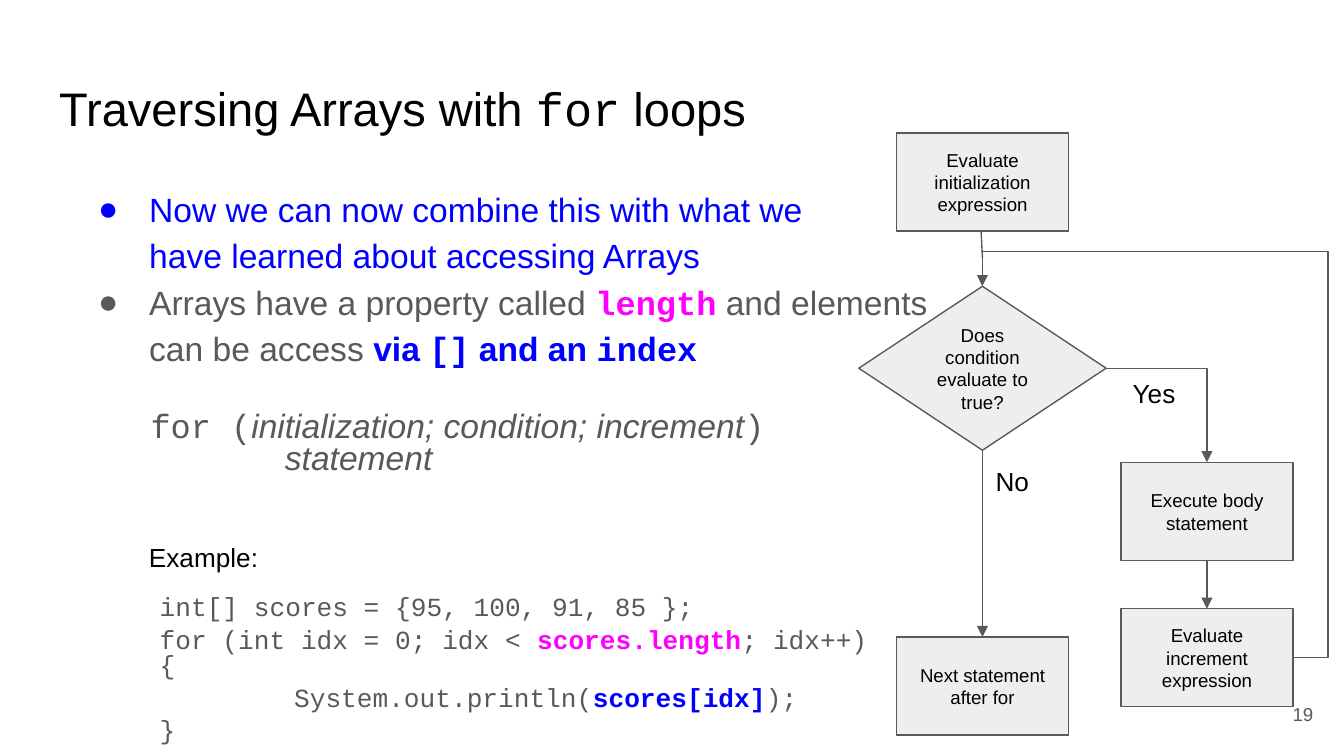
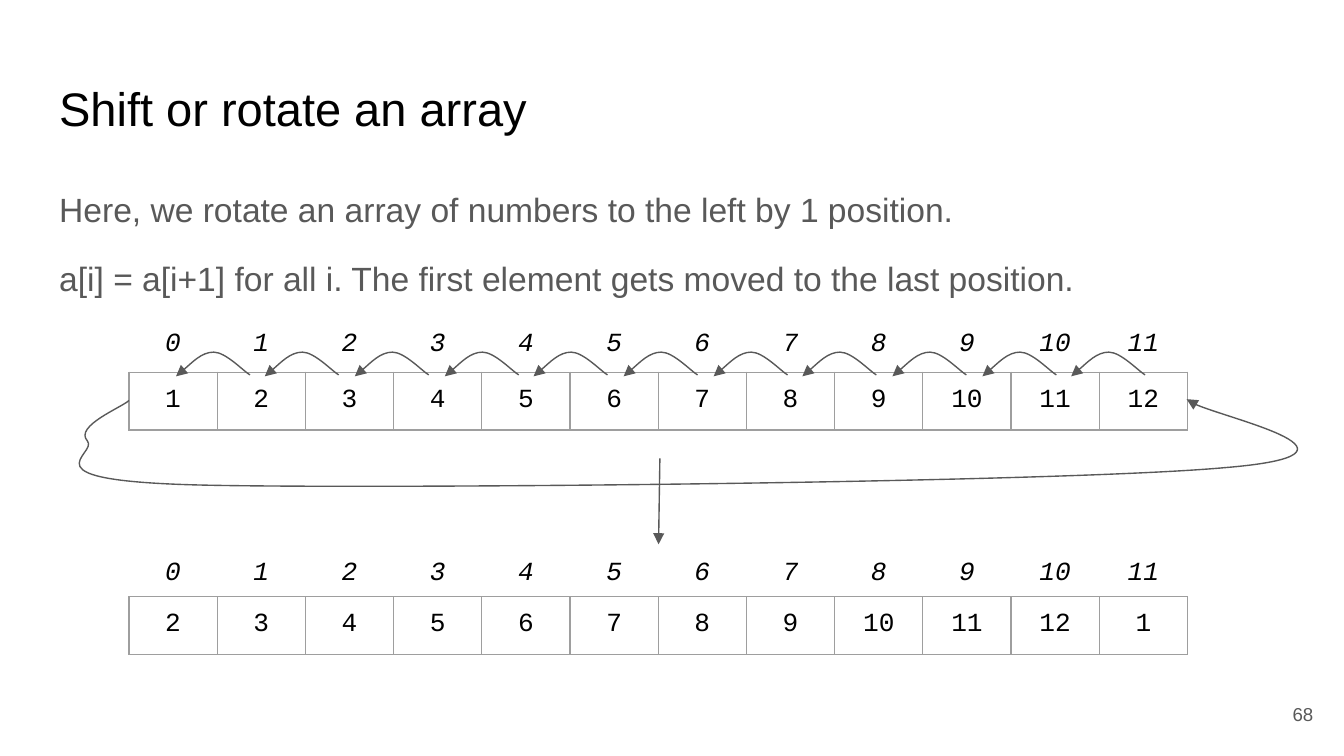
from lxml import etree
from pptx import Presentation
from pptx.dml.color import RGBColor
from pptx.enum.shapes import MSO_CONNECTOR, MSO_SHAPE
from pptx.enum.text import MSO_ANCHOR, MSO_AUTO_SIZE, PP_ALIGN
from pptx.oxml.ns import qn
from pptx.util import Pt

PX = 9144
LEFT, CENTER, RIGHT = PP_ALIGN.LEFT, PP_ALIGN.CENTER, PP_ALIGN.RIGHT
TOP, MIDDLE = MSO_ANCHOR.TOP, MSO_ANCHOR.MIDDLE
FIXED, GROW = MSO_AUTO_SIZE.NONE, MSO_AUTO_SIZE.SHAPE_TO_FIT_TEXT
STRAIGHT, ELBOW = MSO_CONNECTOR.STRAIGHT, MSO_CONNECTOR.ELBOW
RECT, CHOICE = MSO_SHAPE.RECTANGLE, MSO_SHAPE.FLOWCHART_DECISION
UP, DOWN, SIDE = 0, 2, 3

BLACK, GRAY, PALE, EDGE = "000000", "595959", "EEEEEE", "9E9E9E"
BLUE, PINK = "0000FF", "FF00FF"
SANS, MONO = "Arial", "Courier New"
NO_STYLE = "{2D5ABB26-0587-4C30-8999-92F81FD0307C}"

PAD = {f"margin_{side}": 10 * PX for side in ("left", "top", "right", "bottom")}
FRAME = PAD | {"word_wrap": True, "auto_size": FIXED, "vertical_anchor": TOP}
PARA = {"alignment": LEFT, "line_spacing": 1.0, "space_before": Pt(0), "space_after": Pt(0)}
BASE = {"name": SANS, "size": Pt(14), "bold": False, "italic": False, "hue": BLACK}
TITLE = {"size": Pt(25.2)}
BODY = {"size": Pt(18), "hue": GRAY}
CODE = {"name": MONO, "hue": GRAY}
SMALL = {"size": Pt(10)}
FIXW = {"name": MONO}
SLANT = {"name": SANS, "italic": True}
KEY = {"bold": True, "hue": BLUE}
PROP = {"bold": True, "hue": PINK}


def px(count):
    """Turn px into EMU."""
    return count * PX


def tint(code):
    """Make a colour from a hex string."""
    return RGBColor.from_string(code)


def style(item, values):
    """Set each format value on an object."""
    for name, value in values.items():
        setattr(item, name, value)


def child(parent, tag, **attrs):
    """Append a DrawingML element."""
    return etree.SubElement(parent, qn(f"a:{tag}"), {k: str(v) for k, v in attrs.items()})


def solid(parent, tag, hue, **attrs):
    """Append an element that holds a solid fill."""
    child(child(child(parent, tag, **attrs), "solidFill"), "srgbClr", val=hue)


def mark(para, hue):
    """Set tab size and a bullet of one colour, or none."""
    props = para._p.get_or_add_pPr()
    props.set("marL", str(px(50) if hue else 0))
    props.set("indent", str(px(-38) if hue else 0))
    props.set("defTabSz", str(px(100)))
    if hue:
        child(child(props, "buClr"), "srgbClr", val=hue)
        child(props, "buFont", typeface=SANS)
        child(props, "buChar", char="●")
    else:
        child(props, "buNone")


def add_run(para, text, values):
    """Add a run, breaking it at line ends."""
    for row, line in enumerate(text.split("\n")):
        if row:
            para.add_line_break()
        run = para.add_run()
        run.text = line
        fmt = BASE | values
        run.font.color.rgb = tint(fmt.pop("hue"))
        style(run.font, fmt)


def write(frame, paras, font, fmt=None, dots=()):
    """Fill a text frame from lists of (text, format) runs."""
    for row, runs in enumerate(paras):
        para = frame.add_paragraph() if row else frame.paragraphs[0]
        style(para, PARA | (fmt or {}))
        if not row:
            para.space_before = Pt(0)
        mark(para, dots[row] if dots else None)
        for text, extra in runs:
            add_run(para, text, font | extra)


def fill_in(slide, index, box, paras, font, fmt=None, dots=()):
    """Move a placeholder and write its text."""
    shape = slide.placeholders[index]
    style(shape, dict(zip(("left", "top", "width", "height"), map(px, box))))
    style(shape.text_frame, FRAME)
    write(shape.text_frame, paras, font, fmt, dots)


def label(slide, box, paras, font, fmt=None, frame=None):
    """Add a text box."""
    shape = slide.shapes.add_textbox(*map(px, box))
    style(shape.text_frame, FRAME | {"auto_size": GROW} | (frame or {}))
    write(shape.text_frame, paras, font, fmt)


def stroke(shape, tip=True):
    """Draw a thin gray line, with an arrowhead if asked."""
    shape.line.color.rgb = tint(GRAY)
    shape.line.width = Pt(0.75)
    if tip:
        child(shape._element.spPr.find(qn("a:ln")), "tailEnd", type="triangle")


def node(slide, kind, box, text):
    """Add a flowchart node."""
    shape = slide.shapes.add_shape(kind, *map(px, box))
    shape.shadow.inherit = False
    shape.fill.solid()
    shape.fill.fore_color.rgb = tint(PALE)
    stroke(shape, False)
    style(shape.text_frame, FRAME | {"vertical_anchor": MIDDLE})
    write(shape.text_frame, [[(text, {})]], SMALL, {"alignment": CENTER})
    return shape


def wire(slide, ends, kind=STRAIGHT, tip=True):
    """Add a connector between two points."""
    line = slide.shapes.add_connector(kind, *map(px, ends))
    stroke(line, tip)
    child(line._element.spPr, "effectLst")
    return line


def link(slide, start, exit, end, entry, bend=None, adjust=()):
    """Join two nodes, with a bent preset if named."""
    line = wire(slide, (0, 0, 0, 0), ELBOW if bend else STRAIGHT)
    line.begin_connect(start, exit)
    line.end_connect(end, entry)
    if bend:
        geom = line._element.spPr.find(qn("a:prstGeom"))
        geom.set("prst", bend)
        guides = geom.find(qn("a:avLst"))
        for num, value in enumerate(adjust, 1):
            child(guides, "gd", name=f"adj{num}", fmla=f"val {value}")


def curve(slide, box, start, *parts):
    """Add an open Bezier arrow with points relative to its box."""
    left, top, width, height = box
    pen = slide.shapes.build_freeform(left, top, scale=PX)
    pen.add_line_segments([(left + width, top + height)], close=False)
    shape = pen.convert_to_shape()
    shape.shadow.inherit = False
    shape.fill.background()
    stroke(shape)
    trace = next(shape._element.iter(qn("a:path")))
    for step in list(trace):
        trace.remove(step)
    for tag, spots in [("moveTo", [start])] + [("cubicBezTo", part) for part in parts]:
        step = child(trace, tag)
        for x, y in spots:
            child(step, "pt", x=x, y=y)


def grid(slide, top, items, font, ruled):
    """Add a one-row table, with borders if ruled."""
    frame = slide.shapes.add_table(1, len(items), px(96), px(top), px(788), px(43))
    table = frame.table
    style(table, {"first_row": False, "horz_banding": False})
    next(table._tbl.iter(qn("a:tableStyleId"))).text = NO_STYLE
    for cell, item in zip(table.iter_cells(), items):
        style(cell, PAD)
        write(cell.text_frame, [[(str(item), {})]], FIXW | font, {"alignment": CENTER})
        if ruled:
            for side in ("lnL", "lnR", "lnT", "lnB"):
                solid(cell._tc.get_or_add_tcPr(), side, EDGE, w=Pt(0.75))
        cell.fill.background()


def page(deck, layout, title, number):
    """Add a slide with its title and number."""
    slide = deck.slides.add_slide(deck.slide_layouts[layout])
    fill_in(slide, 0, (34, 49, 932, 63), [title], TITLE)
    label(slide, (927, 510, 60, 43), [[(number, {})]], SMALL | {"hue": GRAY},
          {"alignment": RIGHT}, {"vertical_anchor": MIDDLE, "auto_size": FIXED})
    return slide


def flow(slide):
    """Draw the flowchart of a for loop."""
    init = node(slide, RECT, (667, 99, 128, 73), "Evaluate initialization expression")
    test = node(slide, CHOICE, (639, 213, 184, 122), "Does condition evaluate to true?")
    work = node(slide, RECT, (834, 344, 128, 73), "Execute body statement")
    step = node(slide, RECT, (834, 453, 128, 73), "Evaluate increment expression")
    done = node(slide, RECT, (667, 474, 128, 73), "Next statement after for")
    wire(slide, (730, 172, 731, 192), tip=False)
    link(slide, test, DOWN, done, UP)
    link(slide, test, SIDE, work, UP, "bentConnector2")
    link(slide, work, DOWN, step, UP)
    link(slide, step, SIDE, test, UP, "bentConnector4", (-11300, 109400))
    label(slide, (833, 271, 53, 44), [[("Yes", {})]], {})
    label(slide, (731, 336, 53, 44), [[("No", {})]], {})


def loops(deck):
    """Build the slide on for loops."""
    slide = page(deck, 3, [("Traversing Arrays with ", {}), ("for", FIXW), (" loops", {})], "19")
    fill_in(slide, 1, (51, 126, 932, 374), [
        [("Now we can now combine this with what we \nhave learned about accessing Arrays",
          {"hue": BLUE})],
        [("Arrays have a property called ", {}), ("length", FIXW | PROP),
         (" and elements\ncan be access ", {}), ("via ", KEY), ("[]", FIXW | KEY),
         (" and an ", KEY), ("index", FIXW | KEY)],
    ], BODY, {"line_spacing": 1.15}, (BLUE, GRAY))
    fill_in(slide, 2, (102, 302, 481, 85), [
        [("for (", {}), ("initialization; condition; increment", SLANT), (")", {})],
        [("\t", {}), ("statement", SLANT)],
    ], BODY | FIXW, {"line_spacing": 0.6, "space_before": Pt(4)})
    flow(slide)
    label(slide, (109, 434, 558, 131), [
        [("int[] scores = {95, 100, 91, 85 };", {})],
        [("for (int idx = 0; idx < ", {}), ("scores.length", PROP), ("; idx++) {", {})],
        [("\tSystem.out.println(", {}), ("scores[idx]", KEY), (");", {})],
        [("}", {})],
    ], CODE, {"line_spacing": 0.8, "space_before": Pt(4)})
    label(slide, (101, 393, 328, 44), [[("Example:", {})]], {})


def shift(deck):
    """Build the slide on rotating an array."""
    slide = page(deck, 1, [("Shift or rotate an array", {})], "68")
    fill_in(slide, 1, (34, 126, 932, 374), [
        [("Here, we rotate an array of numbers to the left by 1 position.", {})],
        [("a[i] = a[i+1] for all i. The first element gets moved to the last position.", {})],
    ], BODY, {"line_spacing": 1.15, "space_before": Pt(12)})
    nums = list(range(1, 13))
    for top, head, items in ((277, 235, nums), (444, 406, nums[1:] + nums[:1])):
        grid(slide, top, items, {}, True)
        grid(slide, head, range(12), {"italic": True}, False)
    wire(slide, (491, 341, 490, 405))
    for hop in range(11):
        curve(slide, (131 + hop * 200 // 3, 262, 55, 18), (55, 17),
              [(50, 14), (37, 0), (28, 0)], [(19, 0), (4, 15), (0, 18)])
    curve(slide, (59, 297, 900, 65), (37, 1),
          [(32, 6), (-4, 20), (6, 31)], [(15, 41), (-47, 61), (94, 64)],
          [(236, 67), (730, 62), (852, 51)], [(974, 41), (829, 9), (824, 0)])


def main():
    """Build and save the deck."""
    deck = Presentation()
    wide = px(1000)
    style(deck, {"slide_width": wide, "slide_height": wide * 9 // 16})
    loops(deck)
    shift(deck)
    deck.save("out.pptx")


if __name__ == "__main__":
    main()
